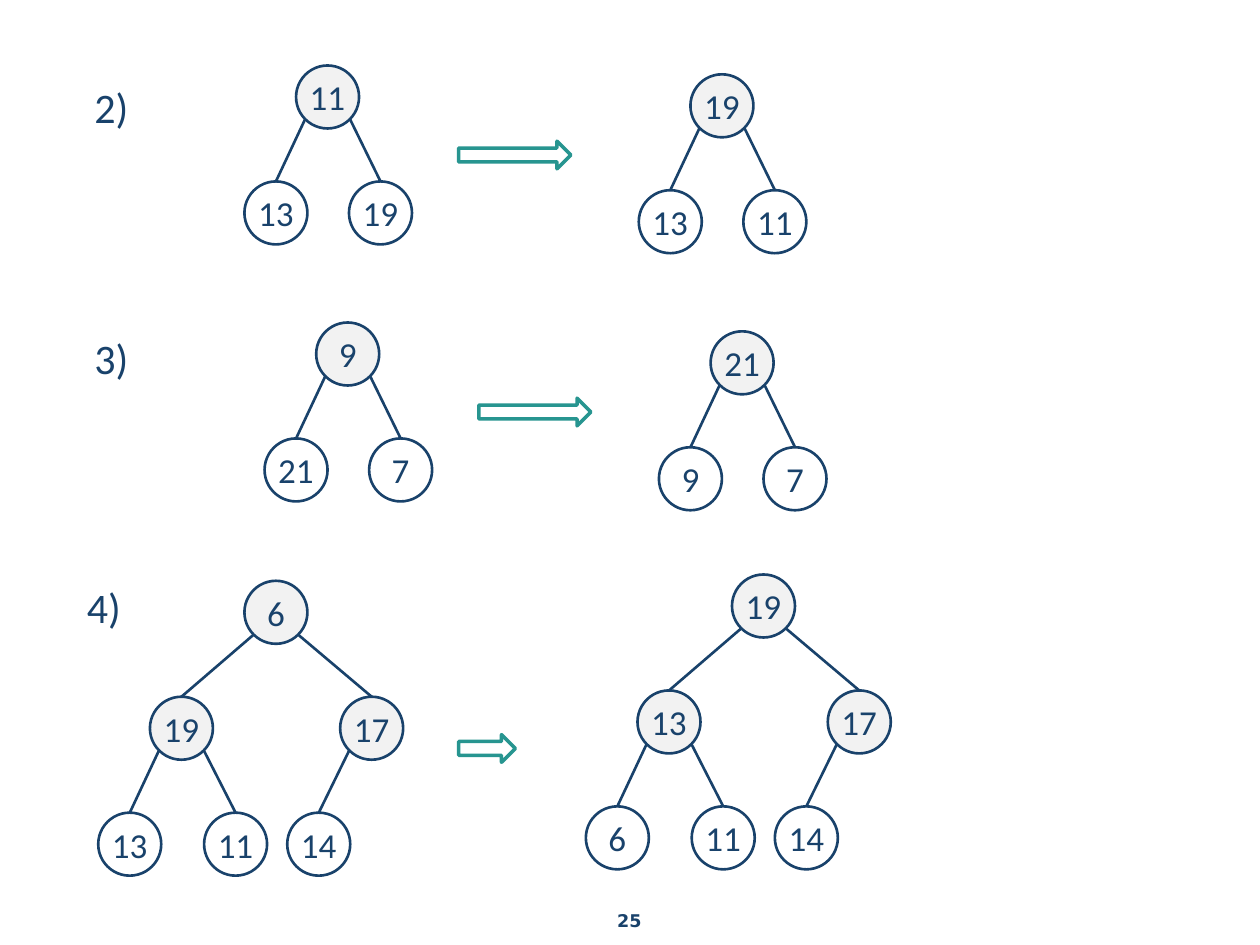
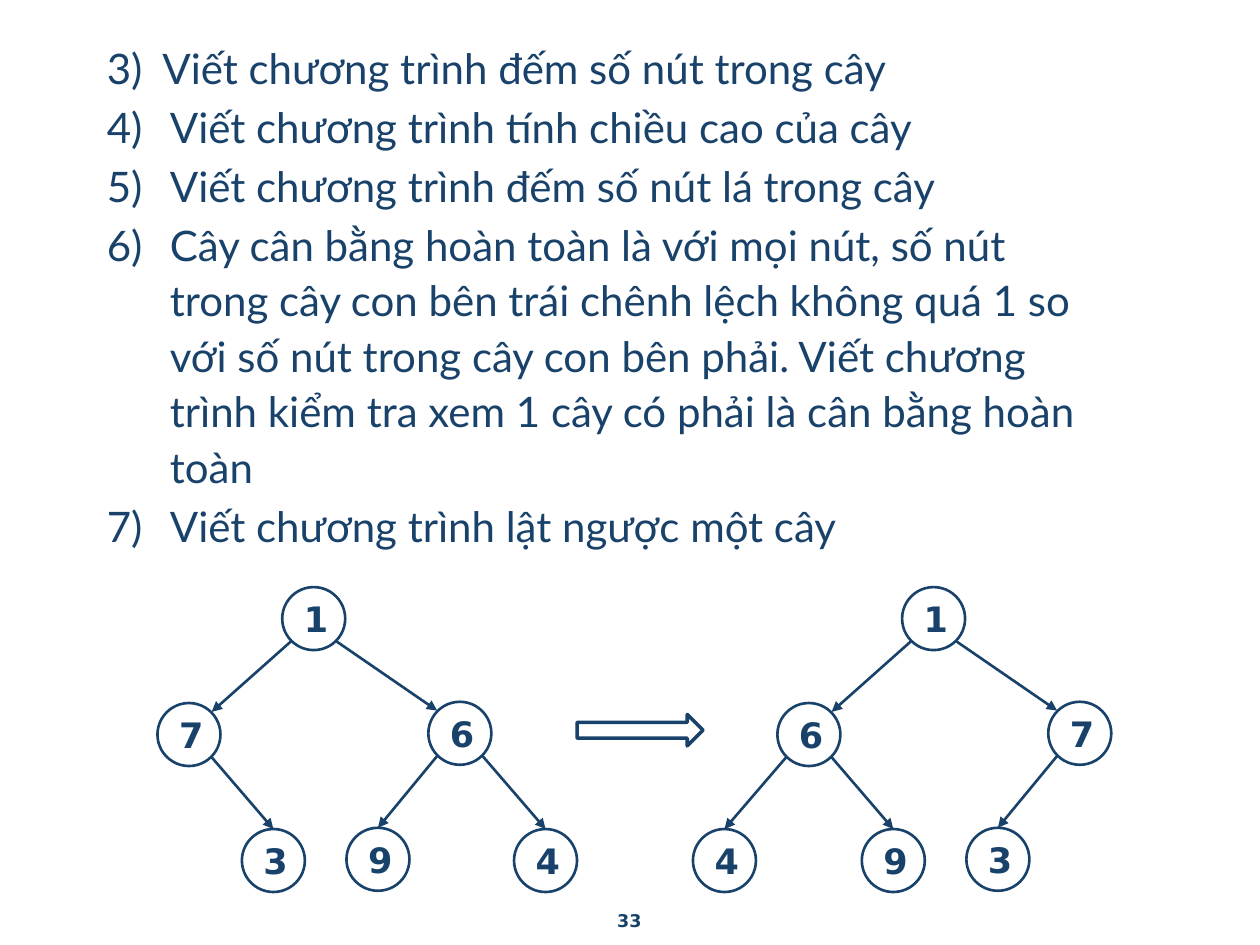
from lxml.etree import SubElement
from pptx import Presentation
from pptx.dml.color import RGBColor
from pptx.enum.shapes import MSO_CONNECTOR as Connector, MSO_SHAPE as Shape
from pptx.enum.text import MSO_ANCHOR as Anchor, PP_ALIGN as Align
from pptx.oxml.ns import qn
from pptx.util import Inches, Pt

NAVY, TEAL, GREY, WHITE = "19426B", "279590", "F2F2F2", "FFFFFF"
NODE = 0.5            # node diameter
NEAR, FAR = 0.07, 0.43  # diagonal points of a node's outline

# Node offsets from the root, in level order
PAIR = [(0, 0), (-0.41, 0.92), (0.42, 0.92)]
HEAP = [(0, 0), (-0.75, 0.92), (0.76, 0.92),
        (-1.16, 1.84), (-0.32, 1.84), (0.34, 1.84)]
FLIP = [(0, 0), (-0.99, 0.92), (1.16, 0.91),
        (-1.66, 1.92), (-0.32, 1.92), (0.51, 1.91), (1.84, 1.92)]

# label, label place, arrow box, layout, then (root place, values) before and after
HEAP_STEPS = [
    ("2)", (0.15, 0.56), (3.64, 1.12, 0.89, 0.22), PAIR,
     [((2.35, 0.52), [11, 13, 19]), ((5.48, 0.59), [19, 13, 11])]),
    ("3)", (0.15, 2.55), (3.8, 3.16, 0.89, 0.22), PAIR,
     [((2.51, 2.56), [9, 21, 7]), ((5.64, 2.63), [21, 9, 7])]),
    ("4)", (0.09, 4.53), (3.64, 5.83, 0.45, 0.22), HEAP,
     [((1.94, 4.61), [6, 19, 17, 13, 11, 14]),
      ((5.81, 4.56), [19, 13, 17, 6, 11, 14])]),
]
FLIP_TREES = [((2.24, 4.66), [1, 7, 6, None, 3, 9, 4]),
              ((7.16, 4.66), [1, 6, 7, 4, 9, 3, None])]
FLIP_ARROW = (4.58, 5.67, 1, 0.25)

FIRST_EXERCISE = 3
EXERCISES = [
    "Viết chương trình đếm số nút trong cây",
    "Viết chương trình tính chiều cao của cây",
    "Viết chương trình đếm số nút lá trong cây",
    "Cây cân bằng hoàn toàn là với mọi nút, số nút trong cây con bên trái "
    "chênh lệch không quá 1 so với số nút trong cây con bên phải. Viết chương "
    "trình kiểm tra xem 1 cây có phải là cân bằng hoàn toàn",
    "Viết chương trình lật ngược một cây",
]


def rgb(color):
    return RGBColor.from_string(color)


def write(paragraph, text, size=20, font="Calibri", bold=False, align=Align.LEFT,
          line_spacing=None, before=0):
    paragraph.text = text
    paragraph.alignment = align
    paragraph.line_spacing = line_spacing
    paragraph.space_before = Pt(before)
    paragraph.font.size, paragraph.font.name = Pt(size), font
    paragraph.font.bold = bold
    paragraph.font.color.rgb = rgb(NAVY)


def add_text_frame(slide, *box):
    frame = slide.shapes.add_textbox(*map(Inches, box)).text_frame
    frame.word_wrap = True
    return frame


def add_outlined(slide, preset, box, fill, line, width):
    shape = slide.shapes.add_shape(preset, *map(Inches, box))
    shape.shadow.inherit = False
    shape.fill.solid()
    shape.fill.fore_color.rgb = rgb(fill)
    shape.line.color.rgb = rgb(line)
    shape.line.width = Pt(width)
    return shape


def add_step_arrow(slide, box, line):
    add_outlined(slide, Shape.RIGHT_ARROW, box, WHITE, line, 2)


def add_edge(slide, start, end, arrowhead):
    edge = slide.shapes.add_connector(Connector.STRAIGHT, *map(Inches, start + end))
    edge.line.color.rgb = rgb(NAVY)
    edge.line.width = Pt(1.5)
    if arrowhead:
        SubElement(edge.line._get_or_add_ln(), qn("a:tailEnd"), type="triangle")
    SubElement(edge._element.spPr, qn("a:effectLst"))


def add_tree(slide, root, values, layout, directed=False):
    """Draw values in level order; None leaves a place empty."""
    places = [(root[0] + dx, root[1] + dy) for dx, dy in layout]
    for index, (value, place) in enumerate(zip(values, places)):
        if value is None:
            continue
        is_parent = any(v is not None for v in values[2 * index + 1:2 * index + 3])
        fill = GREY if is_parent and not directed else WHITE
        node = add_outlined(slide, Shape.OVAL, place + (NODE, NODE), fill, NAVY, 1.5)
        frame = node.text_frame
        frame.vertical_anchor = Anchor.MIDDLE
        if directed:
            look = {"font": "DejaVu Sans", "bold": True}
        else:
            look = {}
            frame.margin_left = frame.margin_right = 0
        write(frame.paragraphs[0], str(value), align=Align.CENTER, **look)

        if index == 0:
            continue
        parent_x, parent_y = places[(index - 1) // 2]
        leaves, meets = (NEAR, FAR) if index % 2 else (FAR, NEAR)
        target = (meets, NEAR) if directed and index < 3 else (NODE / 2, 0)
        add_edge(slide, (parent_x + leaves, parent_y + FAR),
                 (place[0] + target[0], place[1] + target[1]), directed)


def add_exercises(slide):
    frame = add_text_frame(slide, 0.75, 0.25, 8, 4.25)
    for index, exercise in enumerate(EXERCISES):
        paragraph = frame.paragraphs[0] if index == 0 else frame.add_paragraph()
        hang = Inches(0.5 if index else 0.44)
        properties = paragraph._p.get_or_add_pPr()
        properties.set("marL", str(hang))
        properties.set("indent", str(-hang))
        SubElement(properties, qn("a:buFont"), typeface="+mj-lt")
        SubElement(properties, qn("a:buAutoNum"), type="arabicParenR",
                   startAt=str(FIRST_EXERCISE))
        write(paragraph, exercise, size=24, font="Lato", line_spacing=1.1,
              before=2 if index else 0)


def add_slide(deck, number):
    slide = deck.slides.add_slide(deck.slide_layouts[6])
    footer = add_text_frame(slide, 3.83, 7.17, 2.33, 0.26)
    write(footer.paragraphs[0], number, size=10, font="DejaVu Sans", bold=True,
          align=Align.CENTER)
    return slide


def main():
    deck = Presentation()
    deck.slide_width, deck.slide_height = Inches(10), Inches(7.5)

    heap_slide = add_slide(deck, "25")
    for label, label_place, arrow, layout, trees in HEAP_STEPS:
        frame = add_text_frame(heap_slide, *label_place, 1.36, 0.67)
        frame.margin_left = Inches(0.6)
        write(frame.paragraphs[0], label, size=24, line_spacing=1.1)
        add_step_arrow(heap_slide, arrow, TEAL)
        for root, values in trees:
            add_tree(heap_slide, root, values, layout)

    exercise_slide = add_slide(deck, "33")
    add_exercises(exercise_slide)
    for root, values in FLIP_TREES:
        add_tree(exercise_slide, root, values, FLIP, directed=True)
    add_step_arrow(exercise_slide, FLIP_ARROW, NAVY)

    deck.save("out.pptx")


if __name__ == "__main__":
    main()
